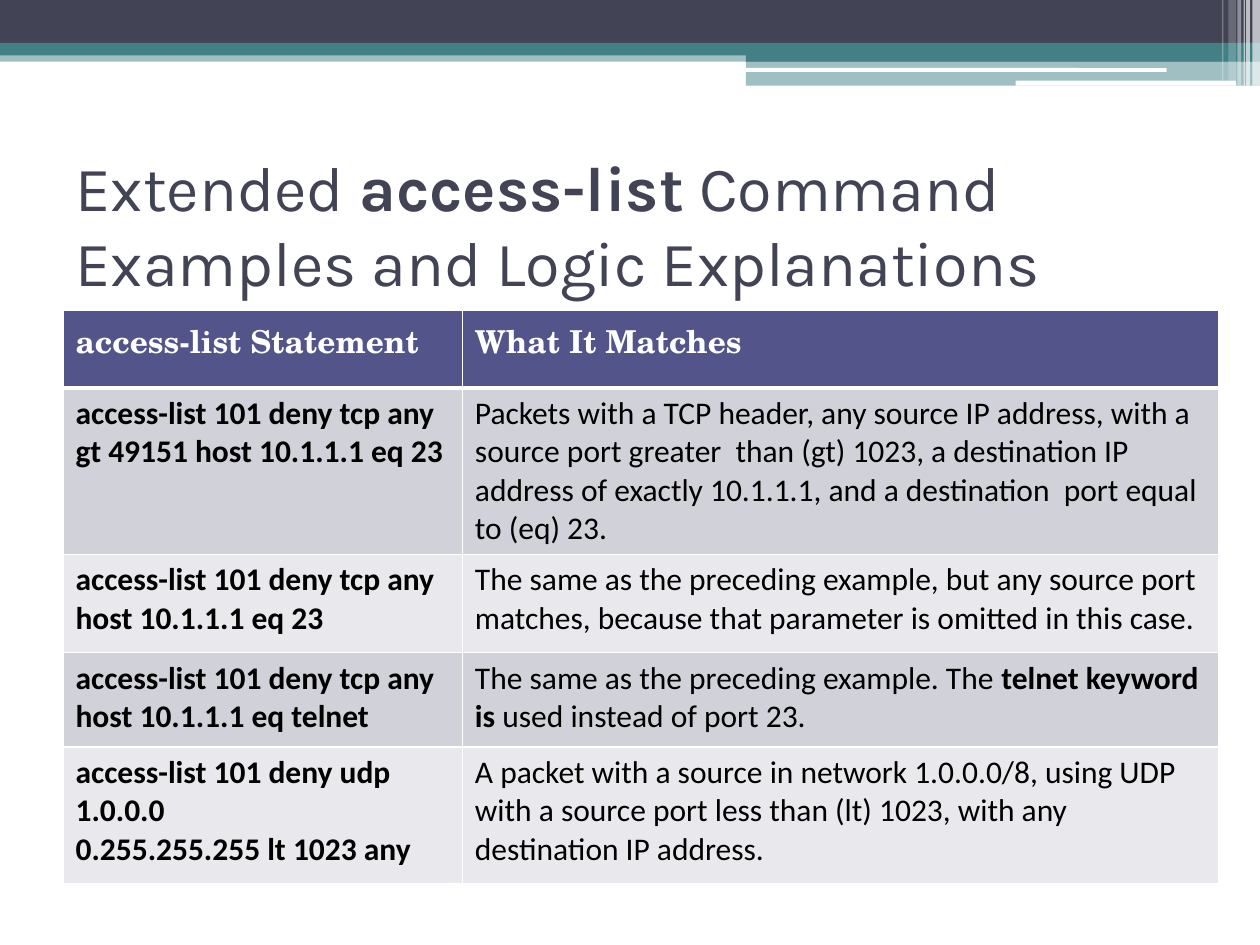
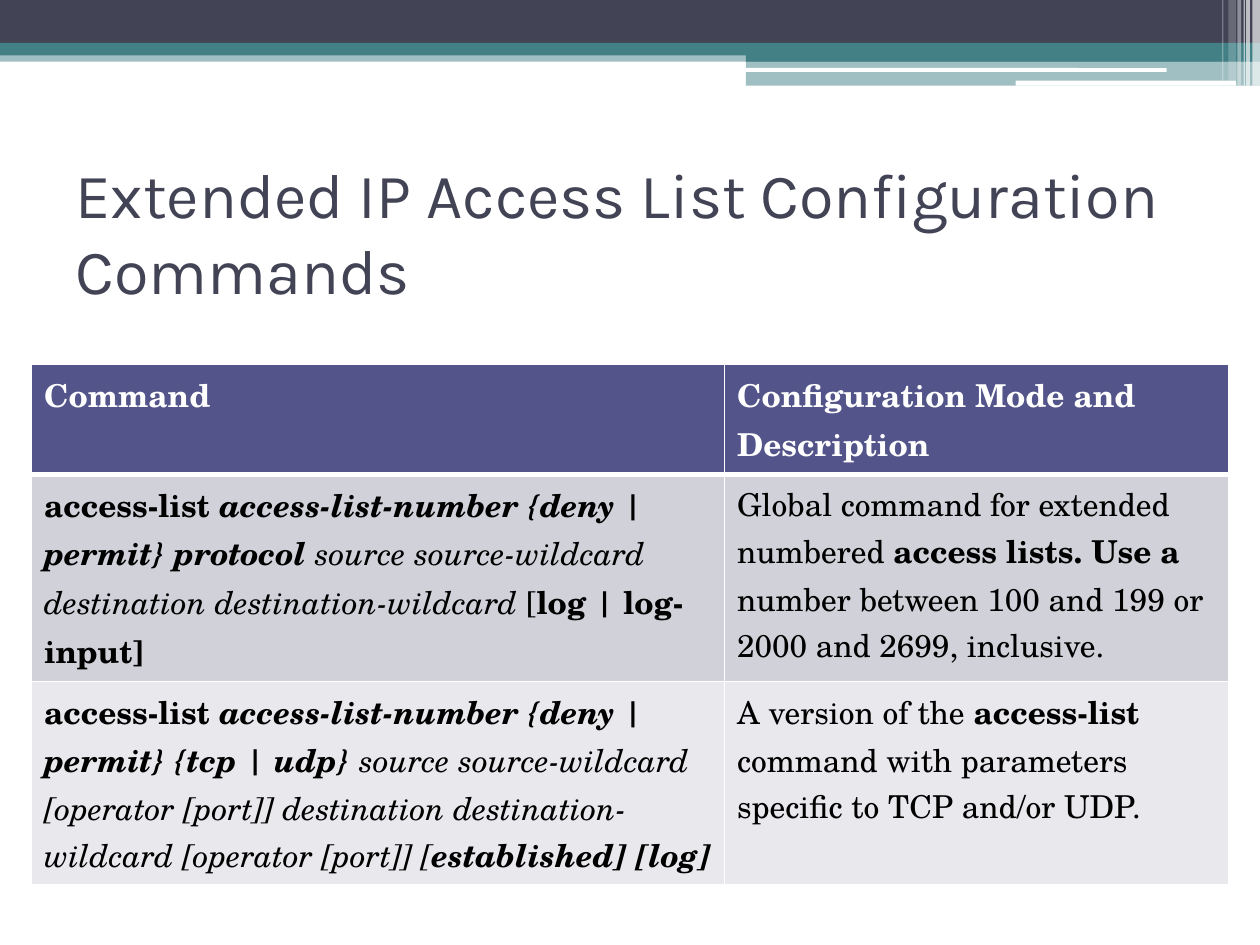
from dataclasses import dataclass

from lxml import etree
from pptx import Presentation
from pptx.dml.color import RGBColor
from pptx.enum.shapes import MSO_SHAPE
from pptx.enum.text import MSO_ANCHOR, MSO_AUTO_SIZE, PP_ALIGN
from pptx.oxml.ns import qn
from pptx.util import Inches, Pt

RECT, ROUNDED = MSO_SHAPE.RECTANGLE, MSO_SHAPE.ROUNDED_RECTANGLE
MIDDLE, LEFT, NO_FIT = MSO_ANCHOR.MIDDLE, PP_ALIGN.LEFT, MSO_AUTO_SIZE.NONE


@dataclass(frozen=True)
class Theme:
    ink: str = "424456"
    teal: str = "438086"
    white: str = "FFFFFF"
    black: str = "000000"
    header: str = "53548A"
    stripes: tuple = ("D1D1DA", "E9E9ED")
    title_font: str = "Karla"
    serif: str = "TeX Gyre Schola"
    sans: str = "Calibri"
    title_size: int = 36
    table_size: int = 18
    rule: int = 1
    header_rule: int = 3


THEME = Theme()

# Content: a paragraph is a list of (text, style) runs; style holds b and/or i
SLIDES = [
    {
        "title": [("Extended ", ""), ("access-list", "b"),
                  (" Command Examples and Logic Explanations", "")],
        "title_top": 1.19,
        "table_at": (0.5, 2.46),
        "columns": (3.17, 6),
        "rows": (0.62, 1.08, 0.78, 0.75, 1.08),
        "body_font": THEME.sans,
        "headings": ("access-list Statement", "What It Matches"),
        "body": [
            ([[("access-list 101 deny tcp any gt 49151 host 10.1.1.1 eq 23", "b")]],
             [[("Packets with a TCP header, any source IP address, with a source "
                "port greater  than (gt) 1023, a destination IP address of exactly "
                "10.1.1.1, and a destination  port equal to (eq) 23.", "")]]),
            ([[("access-list 101 deny tcp any host 10.1.1.1 eq 23", "b")]],
             [[("The same as the preceding example, but any source port matches, "
                "because that parameter is omitted in this case.", "")]]),
            ([[("access-list 101 deny tcp any", "b")],
              [("host 10.1.1.1 eq telnet", "b")]],
             [[("The same as the preceding example. The ", ""),
               ("telnet keyword is ", "b"), ("used instead of port 23.", "")]]),
            ([[("access-list 101 deny udp 1.0.0.0", "b")],
              [("0.255.255.255 lt 1023 any", "b")]],
             [[("A packet with a source in network 1.0.0.0/8, using UDP with a "
                "source port less than (lt) 1023, with any destination IP "
                "address.", "")]]),
        ],
    },
    {
        "title": [("Extended IP Access List Configuration Commands", "")],
        "title_top": 1.25,
        "table_at": (0.25, 2.89),
        "columns": (5.5, 4),
        "rows": (0.71, 1.1, 1.1),
        "body_font": THEME.serif,
        "headings": ("Command", "Configuration Mode and Description"),
        "body": [
            ([[("access-list ", "b"),
               ("access-list-number {deny | permit} protocol ", "bi"),
               ("source source-wildcard destination destination-wildcard ", "i"),
               ("[", ""), ("log | log-input]", "b")]],
             [[("Global command for extended", "")],
              [("numbered ", ""), ("access lists. Use a", "b")],
              [("number between 100 and 199 or 2000 and 2699, inclusive.", "")]]),
            ([[("access-list ", "b"),
               ("access-list-number {deny | permit} {tcp | udp} ", "bi"),
               ("source source-wildcard [operator [port]] destination "
                "destination-wildcard [operator [port]] [", "i"),
               ("established] [log]", "bi")]],
             [[("A version of the ", ""), ("access-list", "b")],
              [("command with parameters", "")],
              [("specific to TCP and/or UDP.", "")]]),
        ],
    },
]

# Top decoration: shape, left, top, width, height, colour, opacity in percent
BANDS = [
    (RECT, 0, 0.4, 10, 0.09, THEME.teal, 50),
    (RECT, 0, 0, 10, 0.34, THEME.ink, 100),
    (RECT, 0, 0.34, 10, 0.1, THEME.teal, 100),
    (RECT, 5.92, 0.39, 4.08, 0.1, THEME.teal, 100),
    (RECT, 5.92, 0.48, 4.08, 0.2, THEME.teal, 50),
    (ROUNDED, 5.91, 0.54, 3.35, 0.03, THEME.white, 100),
    (ROUNDED, 8.06, 0.64, 1.75, 0.04, THEME.white, 100),
]
# Vertical glints at the right edge: left, width, height, opacity
GLINTS = [(9.94, 0.06, 0.68, 65), (9.89, 0.03, 0.68, 65), (9.87, 0.01, 0.68, 60),
          (9.82, 0.03, 0.68, 40), (9.75, 0.06, 0.64, 20), (9.7, 0.01, 0.64, 30)]
BANDS += [(RECT, left, 0, width, height, THEME.white, opacity)
          for left, width, height, opacity in GLINTS]


def paint(fill, color):
    fill.solid()
    fill.fore_color.rgb = RGBColor.from_string(color)


def write(frame, paragraphs, font_name, size, color):
    for index, runs in enumerate(paragraphs):
        paragraph = frame.add_paragraph() if index else frame.paragraphs[0]
        paragraph.alignment = LEFT
        for text, style in runs:
            run = paragraph.add_run()
            run.text = text
            look = {"name": font_name, "size": Pt(size),
                    "bold": "b" in style, "italic": "i" in style}
            for key, value in look.items():
                setattr(run.font, key, value)
            run.font.color.rgb = RGBColor.from_string(color)


def move_bands_to_layout(slide, layout):
    """Draw the decoration and keep it on the layout, behind its placeholders."""
    tree = layout.shapes.element
    for position, (kind, left, top, width, height, color, opacity) in enumerate(BANDS):
        band = slide.shapes.add_shape(kind, *map(Inches, (left, top, width, height)))
        band.shadow.inherit = False
        band.line.fill.background()
        paint(band.fill, color)
        if opacity < 100:
            tint = next(band.element.iter(qn("a:srgbClr")))
            etree.SubElement(tint, qn("a:alpha"), val=str(opacity * 1000))
        tree.insert(2 + position, band.element)


def add_title(slide, content):
    title = slide.shapes.title
    place = {"left": 0.5, "top": content["title_top"], "width": 9, "height": 1.17}
    for key, value in place.items():
        setattr(title, key, Inches(value))
    frame = title.text_frame
    for key, value in {"vertical_anchor": MIDDLE, "word_wrap": True,
                       "auto_size": NO_FIT}.items():
        setattr(frame, key, value)
    write(frame, [content["title"]], THEME.title_font, THEME.title_size, THEME.ink)


def add_borders(table_frame, column_count):
    for index, cell in enumerate(table_frame.element.iter(qn("a:tcPr"))):
        row = index // column_count
        widths = {"L": THEME.rule, "R": THEME.rule,
                  "T": THEME.header_rule if row == 1 else THEME.rule,
                  "B": THEME.header_rule if row == 0 else THEME.rule}
        for position, (side, width) in enumerate(widths.items()):
            border = etree.Element(qn(f"a:ln{side}"), w=str(Pt(width)))
            solid = etree.SubElement(border, qn("a:solidFill"))
            etree.SubElement(solid, qn("a:srgbClr"), val=THEME.white)
            cell.insert(position, border)


def add_command_table(slide, content):
    columns, rows = content["columns"], content["rows"]
    size = (sum(columns), sum(rows))
    table_frame = slide.shapes.add_table(
        len(rows), len(columns), *map(Inches, content["table_at"] + size))
    table = table_frame.table
    for column, width in zip(table.columns, columns):
        column.width = Inches(width)
    for row, height in zip(table.rows, rows):
        row.height = Inches(height)

    headings = [[[(heading, "b")]] for heading in content["headings"]]
    for r, cells in enumerate([headings, *content["body"]]):
        if r == 0:
            fill, font_name, color = THEME.header, THEME.serif, THEME.white
        else:
            fill, font_name, color = (THEME.stripes[(r - 1) % 2],
                                      content["body_font"], THEME.black)
        for c, paragraphs in enumerate(cells):
            cell = table.cell(r, c)
            paint(cell.fill, fill)
            write(cell.text_frame, paragraphs, font_name, THEME.table_size, color)
    add_borders(table_frame, len(columns))


def main():
    deck = Presentation()
    deck.slide_width, deck.slide_height = Inches(10), Inches(7.5)
    title_only = deck.slide_layouts[5]
    for number, content in enumerate(SLIDES):
        slide = deck.slides.add_slide(title_only)
        if number == 0:
            move_bands_to_layout(slide, title_only)
        add_title(slide, content)
        add_command_table(slide, content)
    deck.save("out.pptx")


if __name__ == "__main__":
    main()
